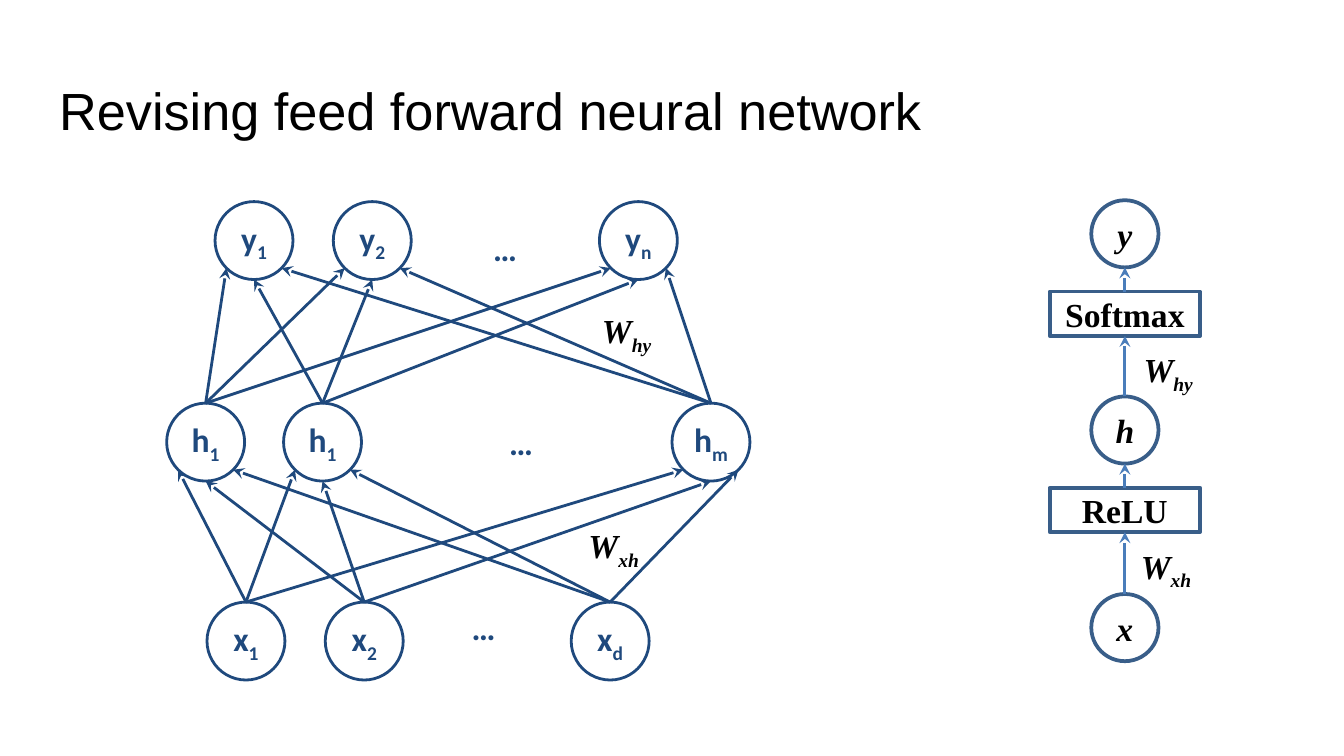
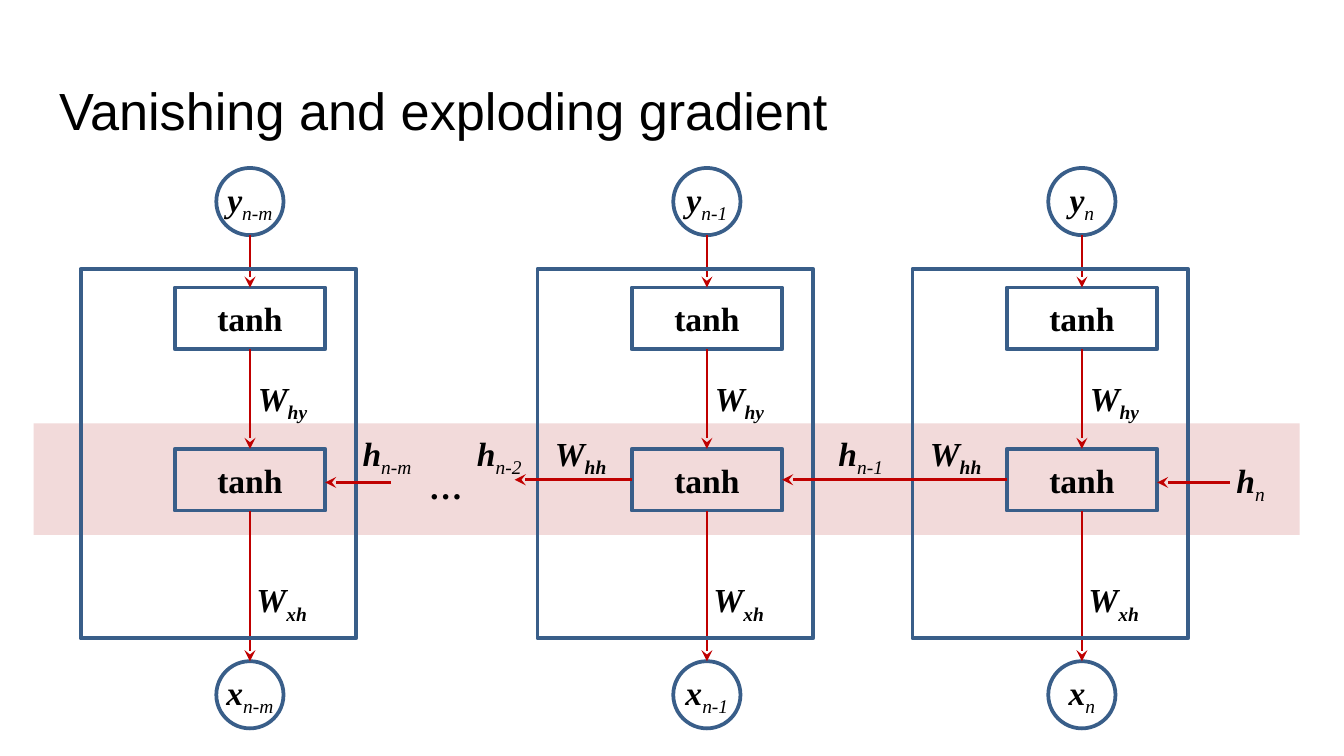
"""Build two slides on feed forward networks and vanishing gradients."""
from dataclasses import dataclass
from math import cos, radians, sin
from typing import NamedTuple

from lxml import etree
from pptx import Presentation
from pptx.dml.color import RGBColor
from pptx.enum.shapes import MSO_CONNECTOR, MSO_SHAPE
from pptx.enum.text import MSO_ANCHOR, MSO_AUTO_SIZE, PP_ALIGN
from pptx.oxml.ns import qn
from pptx.util import Inches, Pt

ELLIPSE, RECTANGLE = MSO_SHAPE.OVAL, MSO_SHAPE.RECTANGLE
STRAIGHT = MSO_CONNECTOR.STRAIGHT
LEFT, CENTER = PP_ALIGN.LEFT, PP_ALIGN.CENTER
TOP_ANCHOR, MIDDLE_ANCHOR = MSO_ANCHOR.TOP, MSO_ANCHOR.MIDDLE
NO_AUTOFIT = MSO_AUTO_SIZE.NONE
TOP_SITE, LEFT_SITE, BOTTOM_SITE, RIGHT_SITE = range(4)

SLIDE_WIDTH = Inches(10)
SLIDE_HEIGHT = SLIDE_WIDTH * 9 // 16
BLACK, NAVY, STEEL = "000000", "1F497D", "395E89"
BLUE, RED, PINK = "4A7DBA", "C00000", "F2DADA"
SERIF, SANS, TITLE_FONT = "Times New Roman", "Calibri", "Arial"
NEURON_SIZE, CIRCLE_SIZE, BLOCK_WIDTH = 0.58, 0.5, 1.12


class Point(NamedTuple):
    """A place on the slide, as lengths."""
    x: int
    y: int


class Neuron(NamedTuple):
    """A network neuron: left edge and text."""
    left: float
    text: str
    subscript: str


class Label(NamedTuple):
    """A free symbol label: place, width and text."""
    left: float
    top: float
    width: float
    text: str
    subscript: str


class Stage(NamedTuple):
    """One stage of the compact chain."""
    top: float
    text: str
    is_block: bool


@dataclass(frozen=True)
class TimeStep:
    """One column of the unrolled network."""
    center: float
    subscript: str


LAYERS = [
    (4.48, [Neuron(1.54, "x", "1"), Neuron(2.42, "x", "2"), Neuron(4.25, "x", "d")]),
    (3.0, [Neuron(1.24, "h", "1"), Neuron(2.11, "h", "1"), Neuron(5.0, "h", "m")]),
    (1.5, [Neuron(1.6, "y", "1"), Neuron(2.48, "y", "2"), Neuron(4.46, "y", "n")]),
]
DOTS = [(3.41, 4.47), (3.69, 3.09), (3.57, 1.65)]
WEIGHTS = [
    Label(8.39, 4.01, 0.6, "W", "xh"), Label(8.41, 2.55, 0.59, "W", "hy"),
    Label(4.28, 3.86, 0.6, "W", "xh"), Label(4.38, 2.26, 0.59, "W", "hy"),
]
CHAIN = [
    Stage(4.42, "x", False), Stage(3.63, "ReLU", True), Stage(2.95, "h", False),
    Stage(2.17, "Softmax", True), Stage(1.49, "y", False),
]
CHAIN_CENTER = 8.37
TIME_STEPS = [TimeStep(1.86, "n-m"), TimeStep(5.26, "n-1"), TimeStep(8.05, "n")]
HIDDEN_STATES = [
    Label(2.58, 3.17, 0.6, "h", "n-m"), Label(3.43, 3.17, 0.57, "h", "n-2"),
    Label(6.12, 3.17, 0.57, "h", "n-1"), Label(9.09, 3.37, 0.43, "h", "n"),
    Label(3.1, 3.42, 0.45, "…", ""),
]


def rgb(color: str) -> RGBColor:
    """Turn a hex string into a colour."""
    return RGBColor.from_string(color)


def write_text(shape, text: str, *, subscript: str = "", font: str = SERIF,
               size: float = 18, color: str = BLACK, bold: bool = True,
               italic: bool = False, subscript_bold: bool = True,
               align=CENTER, anchor=MIDDLE_ANCHOR, wrap: bool = False,
               insets: tuple[float, float] = (0, 0)) -> None:
    """Write formatted text with an optional subscript into a shape."""
    frame = shape.text_frame
    frame.auto_size = NO_AUTOFIT
    frame.word_wrap = wrap
    frame.vertical_anchor = anchor
    frame.margin_left = frame.margin_right = Inches(insets[0])
    frame.margin_top = frame.margin_bottom = Inches(insets[1])
    paragraph = frame.paragraphs[0]
    paragraph.alignment = align
    for part, is_subscript in ((text, False), (subscript, True)):
        if not part:
            continue
        run = paragraph.add_run()
        run.text = part
        run.font.name, run.font.size = font, Pt(size)
        run.font.bold = bold and (subscript_bold or not is_subscript)
        run.font.italic = italic
        run.font.color.rgb = rgb(color)
        if is_subscript:
            run._r.get_or_add_rPr().set("baseline", "-25000")


def add_box(slide, kind, left: float, top: float, width: float, height: float, *,
            line: str = "", weight: float = 2, fill: str = ""):
    """Add a preset shape with an optional outline and fill."""
    shape = slide.shapes.add_shape(kind, Inches(left), Inches(top),
                                   Inches(width), Inches(height))
    shape.shadow.inherit = False
    if fill:
        shape.fill.solid()
        shape.fill.fore_color.rgb = rgb(fill)
    else:
        shape.fill.background()
    if line:
        shape.line.color.rgb = rgb(line)
        shape.line.width = Pt(weight)
    else:
        shape.line.fill.background()
    return shape


def add_circle(slide, center: float, top: float, text: str, subscript: str = ""):
    """Add a circle holding an italic symbol."""
    circle = add_box(slide, ELLIPSE, center - CIRCLE_SIZE / 2, top,
                     CIRCLE_SIZE, CIRCLE_SIZE, line=STEEL)
    write_text(circle, text, subscript=subscript, italic=True, subscript_bold=False)
    return circle


def add_block(slide, center: float, top: float, height: float, text: str):
    """Add a rectangle naming an activation function."""
    block = add_box(slide, RECTANGLE, center - BLOCK_WIDTH / 2, top,
                    BLOCK_WIDTH, height, line=STEEL)
    write_text(block, text)
    return block


def add_label(slide, label: Label, **text_format) -> None:
    """Add a text box for a symbol label."""
    box = slide.shapes.add_textbox(Inches(label.left), Inches(label.top),
                                   Inches(label.width), Inches(0.4))
    options = {"italic": True, "align": LEFT, **text_format}
    write_text(box, label.text, subscript=label.subscript,
               anchor=TOP_ANCHOR, insets=(0.1, 0.05), **options)


def add_arrow(slide, start: Point, end: Point, color: str):
    """Add a straight line with a stealth head at its end."""
    connector = slide.shapes.add_connector(STRAIGHT, *start, *end)
    connector.line.color.rgb = rgb(color)
    connector.line.width = Pt(1.5)
    properties = connector.element.spPr
    etree.SubElement(properties.find(qn("a:ln")), qn("a:tailEnd"), type="stealth")
    etree.SubElement(properties, qn("a:effectLst"))
    return connector


def site_point(shape, site: int) -> Point:
    """Return the middle of one side of a shape."""
    across, down = [(0.5, 0), (0, 0.5), (0.5, 1), (1, 0.5)][site]
    return Point(int(shape.left + shape.width * across),
                 int(shape.top + shape.height * down))


def link(slide, start, start_site: int, end, end_site: int, color: str) -> None:
    """Draw an arrow between two shapes, joined to rectangles."""
    connector = add_arrow(slide, site_point(start, start_site),
                          site_point(end, end_site), color)
    if start.auto_shape_type == RECTANGLE:
        connector.begin_connect(start, start_site)
    if end.auto_shape_type == RECTANGLE:
        connector.end_connect(end, end_site)


def add_titled_slide(presentation, title: str):
    """Add a slide with the shared title style."""
    slide = presentation.slides.add_slide(presentation.slide_layouts[5])
    shape = slide.shapes.title
    shape.left, shape.top = Inches(0.34), Inches(0.5)
    shape.width, shape.height = Inches(9.32), Inches(0.63)
    write_text(shape, title, font=TITLE_FONT, size=28, bold=False,
               align=LEFT, wrap=True, insets=(0.1, 0.1))
    return slide


def rim_point(neuron, angle: float) -> Point:
    """Return a point on a circle's rim, by degrees from its bottom."""
    radius = neuron.width / 2
    return Point(int(neuron.left + radius * (1 + sin(radians(angle)))),
                 int(neuron.top + radius * (1 + cos(radians(angle)))))


def add_network(slide) -> None:
    """Draw the three fully connected layers."""
    layers = []
    for top, neurons in LAYERS:
        layer = []
        for neuron in neurons:
            circle = add_box(slide, ELLIPSE, neuron.left, top, NEURON_SIZE,
                             NEURON_SIZE, line=NAVY, weight=1.5)
            write_text(circle, neuron.text, subscript=neuron.subscript,
                       font=SANS, color=NAVY)
            layer.append(circle)
        layers.append(layer)
    for sources, targets in zip(layers, layers[1:]):
        for source, angle in zip(sources, (-45, 0, 45)):
            for target in targets:
                add_arrow(slide, site_point(source, TOP_SITE),
                          rim_point(target, angle), NAVY)
    for left, top in DOTS:
        add_label(slide, Label(left, top, 0.38, "…", ""),
                  font=SANS, color=NAVY, italic=False)


def add_chain(slide) -> None:
    """Draw the compact form of the network."""
    shapes = [add_block(slide, CHAIN_CENTER, stage.top, 0.33, stage.text)
              if stage.is_block else
              add_circle(slide, CHAIN_CENTER, stage.top, stage.text)
              for stage in CHAIN]
    for lower, upper in zip(shapes, shapes[1:]):
        link(slide, lower, TOP_SITE, upper, BOTTOM_SITE, BLUE)


def add_time_step(slide, step: TimeStep):
    """Draw one column and return its hidden block."""
    center = step.center
    column = [
        add_circle(slide, center, 1.25, "y", step.subscript),
        add_block(slide, center, 2.14, 0.46, "tanh"),
        add_block(slide, center, 3.34, 0.46, "tanh"),
        add_circle(slide, center, 4.92, "x", step.subscript),
    ]
    for upper, lower in zip(column, column[1:]):
        link(slide, upper, BOTTOM_SITE, lower, TOP_SITE, RED)
    add_label(slide, Label(center - 0.05, 4.26, 0.6, "W", "xh"))
    add_label(slide, Label(center - 0.04, 2.76, 0.59, "W", "hy"))
    add_box(slide, RECTANGLE, center - 1.26, 2, 2.05, 2.75, line=STEEL)
    return column[2]


def build_feed_forward(presentation) -> None:
    """Build the feed forward network slide."""
    slide = add_titled_slide(presentation, "Revising feed forward neural network")
    add_network(slide)
    add_chain(slide)
    for weight in WEIGHTS:
        add_label(slide, weight)


def build_gradient(presentation) -> None:
    """Build the vanishing gradient slide."""
    slide = add_titled_slide(presentation, "Vanishing and exploding gradient")
    add_box(slide, RECTANGLE, 0.25, 3.15, 9.42, 0.83, fill=PINK)
    first, middle, last = [add_time_step(slide, step) for step in TIME_STEPS]
    link(slide, last, LEFT_SITE, middle, RIGHT_SITE, RED)
    outgoing = add_arrow(slide, site_point(middle, LEFT_SITE),
                         Point(Inches(3.83), Inches(3.57)), RED)
    outgoing.begin_connect(middle, LEFT_SITE)
    for block, start in ((first, 2.91), (last, 9.15)):
        add_arrow(slide, Point(Inches(start), Inches(3.59)),
                  Point(block.left + block.width, Inches(3.59)), RED)
    for step in TIME_STEPS[1:]:
        add_label(slide, Label(step.center - 1.23, 3.17, 0.61, "W", "hh"))
    for state in HIDDEN_STATES:
        add_label(slide, state, align=CENTER, subscript_bold=False)


def main() -> None:
    """Build and save the presentation."""
    presentation = Presentation()
    presentation.slide_width, presentation.slide_height = SLIDE_WIDTH, SLIDE_HEIGHT
    build_feed_forward(presentation)
    build_gradient(presentation)
    presentation.save("out.pptx")


if __name__ == "__main__":
    main()
